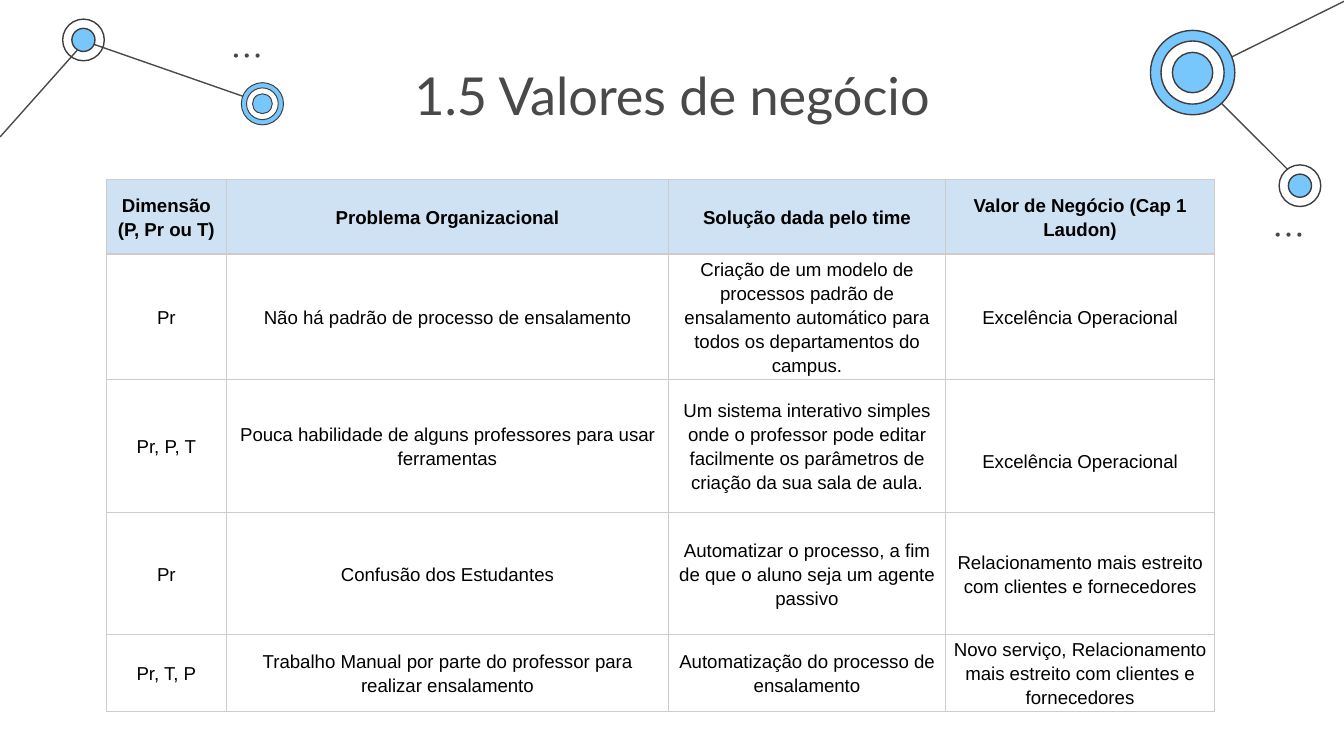
"""Builds the slide on business values, with a table and ringed nodes in the corners."""
import pptx
import pptx.dml.color
import pptx.enum.shapes
import pptx.enum.text
import pptx.oxml
import pptx.oxml.ns
import pptx.util

Pt = pptx.util.Pt

COLORS = {
    "text": "494949", "outline": "3D3D3D", "blue": "77C6FC", "white": "FFFFFF",
    "black": "000000", "header": "CFE2F3", "border": "CCCCCC",
}
TITLE = "1.5 Valores de negócio"
ROWS = [
    ["Dimensão (P, Pr ou T)", "Problema Organizacional", "Solução dada pelo time",
     "Valor de Negócio (Cap 1 Laudon)"],
    ["Pr", "Não há padrão de processo de ensalamento",
     "Criação de um modelo de processos padrão de ensalamento automático para todos os "
     "departamentos do campus.", "Excelência Operacional"],
    ["Pr, P, T", "Pouca habilidade de alguns professores para usar ferramentas",
     "Um sistema interativo simples onde o professor pode editar facilmente os parâmetros de "
     "criação da sua sala de aula.", "Excelência Operacional"],
    ["Pr", "Confusão dos Estudantes",
     "Automatizar o processo, a fim de que o aluno seja um agente passivo",
     "Relacionamento mais estreito com clientes e fornecedores"],
    ["Pr, T, P", "Trabalho Manual por parte do professor para realizar ensalamento",
     "Automatização do processo de ensalamento",
     "Novo serviço, Relacionamento mais estreito com clientes e fornecedores"],
]
COLUMN_WIDTHS = [64.2, 236.9, 148.4, 144.2]
ROW_HEIGHTS = [40, 67, 71.2, 65.3, 41.2]
TABLE_LEFT, TABLE_TOP = 57, 96.1
LOWERED_CELL, LOWERED_MARGIN = (2, 3), 16.8

LINKS = [
    (696.3, 97.2, 638.6, 39.6), (46.1, 22.3, 141.1, 55.4),
    (0, 73.4, 46.1, 21.6), (720.5, 0.5, 641.5, 39.6),
]
NODES = [
    (44.7, 21.4, 0.75, [(22.3, None), (12.4, "blue")]),
    (140.6, 55.6, 0.5, [(22.6, "blue"), (17, "white"), (10.6, "blue")]),
    (638.9, 38.9, 0.75, [(45.2, "blue"), (33.8, "white"), (21.6, "blue")]),
    (696.4, 99.5, 0.75, [(22.3, "white"), (12.4, "blue")]),
]
DOT_ROWS = [(125.3, 28.7), (683.4, 124.6)]
DOT_SIZE, DOT_STEP = 2.2, 5.8


def rgb(name):
    return pptx.dml.color.RGBColor.from_string(COLORS[name])


def add_link(slide, start_x, start_y, end_x, end_y):
    connector = slide.shapes.add_connector(
        pptx.enum.shapes.MSO_CONNECTOR.STRAIGHT, Pt(start_x), Pt(start_y), Pt(end_x), Pt(end_y))
    connector.line.color.rgb = rgb("text")
    connector.line.width = Pt(0.75)
    connector._element.spPr.append(pptx.oxml.parse_xml(
        f'<a:effectLst {pptx.oxml.ns.nsdecls("a")}/>'))


def add_circle(slide, center_x, center_y, diameter, fill, line_width=0):
    shape = slide.shapes.add_shape(
        pptx.enum.shapes.MSO_SHAPE.OVAL, Pt(center_x - diameter / 2),
        Pt(center_y - diameter / 2), Pt(diameter), Pt(diameter))
    shape.shadow.inherit = False
    if fill:
        shape.fill.solid()
        shape.fill.fore_color.rgb = rgb(fill)
    else:
        shape.fill.background()
    if line_width:
        shape.line.color.rgb = rgb("outline")
        shape.line.width = Pt(line_width)
    else:
        shape.line.fill.background()


def add_text(paragraph, text, font_name, size, color, bold=False):
    paragraph.alignment = pptx.enum.text.PP_ALIGN.CENTER
    run = paragraph.add_run()
    run.text = text
    run.font.name = font_name
    run.font.size = Pt(size)
    run.font.bold = bold
    run.font.color.rgb = rgb(color)


def add_borders(cell):
    properties = cell._tc.get_or_add_tcPr()
    for side in ("lnL", "lnR", "lnT", "lnB"):
        properties.append(pptx.oxml.parse_xml(
            f'<a:{side} {pptx.oxml.ns.nsdecls("a")} w="{Pt(0.75)}"><a:solidFill>'
            f'<a:srgbClr val="{COLORS["border"]}"/></a:solidFill></a:{side}>'))


def format_cell(cell, text, is_header, margin_top):
    add_borders(cell)
    cell.vertical_anchor = pptx.enum.text.MSO_ANCHOR.MIDDLE
    cell.margin_left = cell.margin_right = Pt(2.2)
    cell.margin_top, cell.margin_bottom = Pt(margin_top), Pt(1.5)
    if is_header:
        cell.fill.solid()
        cell.fill.fore_color.rgb = rgb("header")
    else:
        cell.fill.background()
    paragraph = cell.text_frame.paragraphs[0]
    paragraph.line_spacing = 1.15
    add_text(paragraph, text, "Arial", 10, "black", is_header)


def add_value_table(slide):
    table = slide.shapes.add_table(
        len(ROWS), len(COLUMN_WIDTHS), Pt(TABLE_LEFT), Pt(TABLE_TOP),
        Pt(sum(COLUMN_WIDTHS)), Pt(sum(ROW_HEIGHTS))).table
    table.first_row = table.horz_banding = False
    for column, width in zip(table.columns, COLUMN_WIDTHS):
        column.width = Pt(width)
    for row, height in zip(table.rows, ROW_HEIGHTS):
        row.height = Pt(height)
    for row_index, texts in enumerate(ROWS):
        for column_index, text in enumerate(texts):
            position = (row_index, column_index)
            margin_top = LOWERED_MARGIN if position == LOWERED_CELL else 1.5
            format_cell(table.cell(*position), text, row_index == 0, margin_top)


def set_title(slide):
    title = slide.shapes.title
    title.left, title.top, title.width, title.height = Pt(56.9), Pt(26.6), Pt(606.2), Pt(45.4)
    frame = title.text_frame
    frame.word_wrap = True
    frame.auto_size = pptx.enum.text.MSO_AUTO_SIZE.NONE
    frame.vertical_anchor = pptx.enum.text.MSO_ANCHOR.TOP
    frame.margin_left = frame.margin_right = frame.margin_top = frame.margin_bottom = Pt(7.2)
    add_text(frame.paragraphs[0], TITLE, "Lato", 28, "text")


def main():
    presentation = pptx.Presentation()
    presentation.slide_width, presentation.slide_height = Pt(720), Pt(405)
    slide = presentation.slides.add_slide(presentation.slide_layouts[5])
    for link in LINKS:
        add_link(slide, *link)
    for center_x, center_y, line_width, rings in NODES:
        for diameter, fill in rings:
            add_circle(slide, center_x, center_y, diameter, fill, line_width)
    for left, top in DOT_ROWS:
        for index in range(3):
            add_circle(slide, left + DOT_SIZE / 2 + index * DOT_STEP, top + DOT_SIZE / 2,
                       DOT_SIZE, "text")
    set_title(slide)
    add_value_table(slide)
    presentation.save("out.pptx")


if __name__ == "__main__":
    main()
